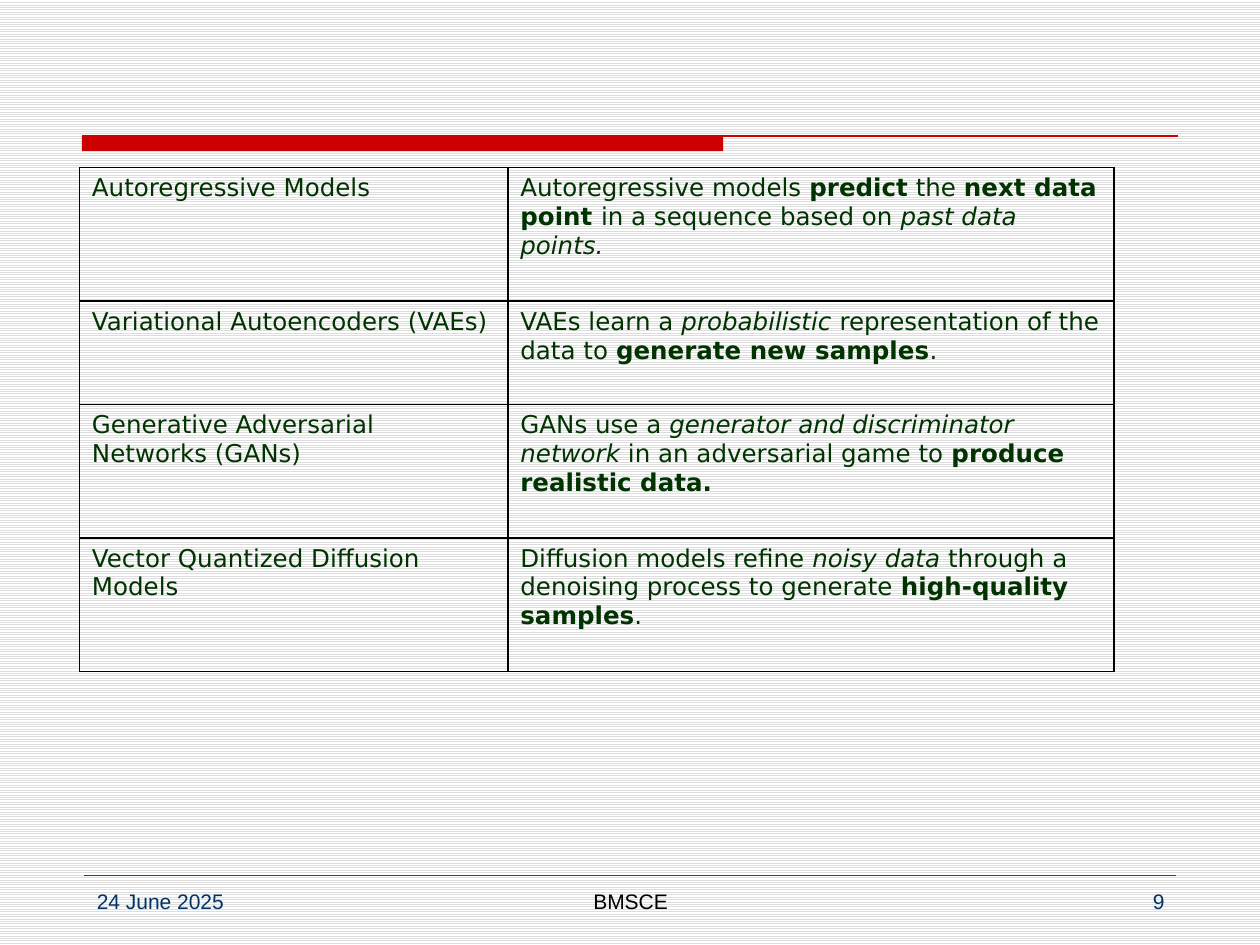
from lxml import etree
from pptx import Presentation
from pptx.dml.color import RGBColor
from pptx.enum.dml import MSO_PATTERN
from pptx.enum.shapes import MSO_CONNECTOR, MSO_SHAPE
from pptx.enum.text import PP_ALIGN
from pptx.oxml.ns import qn
from pptx.util import Inches, Pt

STRIPES = MSO_PATTERN.LIGHT_HORIZONTAL
STRAIGHT = MSO_CONNECTOR.STRAIGHT
RECTANGLE = MSO_SHAPE.RECTANGLE
LEFT, CENTER, RIGHT = PP_ALIGN.LEFT, PP_ALIGN.CENTER, PP_ALIGN.RIGHT

RED = "CC0000"
GREEN = "003300"
NAVY = "003366"
BLACK = "000000"

MODELS = [
    ("Autoregressive Models",
     [("Autoregressive models ", ""), ("predict", "b"), (" the ", ""),
      ("next data point ", "b"), ("in a sequence based on ", ""),
      ("past data points.", "i")]),
    ("Variational Autoencoders (VAEs)",
     [("VAEs learn a ", ""), ("probabilistic ", "i"),
      ("representation of the data to ", ""),
      ("generate new samples", "b"), (".", "")]),
    ("Generative Adversarial Networks (GANs)",
     [("GANs use a ", ""), ("generator and discriminator network ", "i"),
      ("in an adversarial game to ", ""), ("produce realistic data.", "b")]),
    ("Vector Quantized Diffusion Models",
     [("Diffusion models refine ", ""), ("noisy data ", "i"),
      ("through a denoising process to generate ", ""),
      ("high-quality samples", "b"), (".", "")]),
]
COLUMN_WIDTHS = [3.4, 4.81]
ROW_HEIGHTS = [1.06, 0.82, 1.06, 1.06]

FOOTER = [
    ("24 June 2025", 0.67, 2.17, NAVY, LEFT),
    ("BMSCE", 3.42, 3.17, BLACK, CENTER),
    ("9", 7.17, 2.17, NAVY, RIGHT),
]


def rgb(value):
    return RGBColor.from_string(value)


def write(frame, text, size=12, font="Arial", color=BLACK, align=LEFT):
    frame.word_wrap = True
    paragraph = frame.paragraphs[0]
    paragraph.alignment = align
    pieces = [(text, "")] if isinstance(text, str) else text
    for words, style in pieces:
        run = paragraph.add_run()
        run.text = words
        run.font.size = Pt(size)
        run.font.name = font
        run.font.color.rgb = rgb(color)
        run.font.bold = style == "b"
        run.font.italic = style == "i"


def add_stripes(slide):
    fill = slide.background.fill
    fill.patterned()
    fill.pattern = STRIPES
    fill.fore_color.rgb = rgb("DDDDDD")
    fill.back_color.rgb = rgb("FFFFFF")


def add_bar(slide, left, top, width, height):
    bar = slide.shapes.add_shape(
        RECTANGLE, Inches(left), Inches(top), Inches(width), Inches(height))
    bar.shadow.inherit = False
    bar.fill.solid()
    bar.fill.fore_color.rgb = rgb(RED)
    bar.line.fill.background()


def add_rule(slide, left, right, y, weight):
    rule = slide.shapes.add_connector(
        STRAIGHT, Inches(left), Inches(y), Inches(right), Inches(y))
    rule.line.color.rgb = rgb(RED)
    rule.line.width = Pt(weight)
    etree.SubElement(rule._element.spPr, qn("a:effectLst"))


def set_borders(cell, color=BLACK, weight=1):
    properties = cell._tc.get_or_add_tcPr()
    for side in ("lnL", "lnR", "lnT", "lnB"):
        border = etree.SubElement(properties, qn(f"a:{side}"), w=str(Pt(weight)))
        fill = etree.SubElement(border, qn("a:solidFill"))
        etree.SubElement(fill, qn("a:srgbClr"), val=color)


def add_model_table(slide):
    table = slide.shapes.add_table(
        len(MODELS), len(COLUMN_WIDTHS), Inches(0.63), Inches(1.33),
        Inches(sum(COLUMN_WIDTHS)), Inches(sum(ROW_HEIGHTS))).table
    table.first_row = False
    table.horz_banding = False
    for column, width in zip(table.columns, COLUMN_WIDTHS):
        column.width = Inches(width)
    for row, height, model in zip(table.rows, ROW_HEIGHTS, MODELS):
        row.height = Inches(height)
        for cell, text in zip(row.cells, model):
            set_borders(cell)
            cell.fill.background()
            write(cell.text_frame, text, size=14, font="DejaVu Sans", color=GREEN)


def add_footer(slide):
    for text, left, width, color, align in FOOTER:
        box = slide.shapes.add_textbox(
            Inches(left), Inches(7), Inches(width), Inches(0.35))
        write(box.text_frame, text, color=color, align=align)


def main():
    deck = Presentation()
    deck.slide_width = Inches(10)
    deck.slide_height = Inches(7.5)
    slide = deck.slides.add_slide(deck.slide_layouts[6])
    add_stripes(slide)
    add_bar(slide, 0.65, 1.08, 5.09, 0.12)
    add_rule(slide, 0.65, 9.35, 1.08, 0.75)
    add_rule(slide, 0.67, 9.33, 6.95, 0.25)
    add_model_table(slide)
    add_footer(slide)
    deck.save("out.pptx")


if __name__ == "__main__":
    main()
